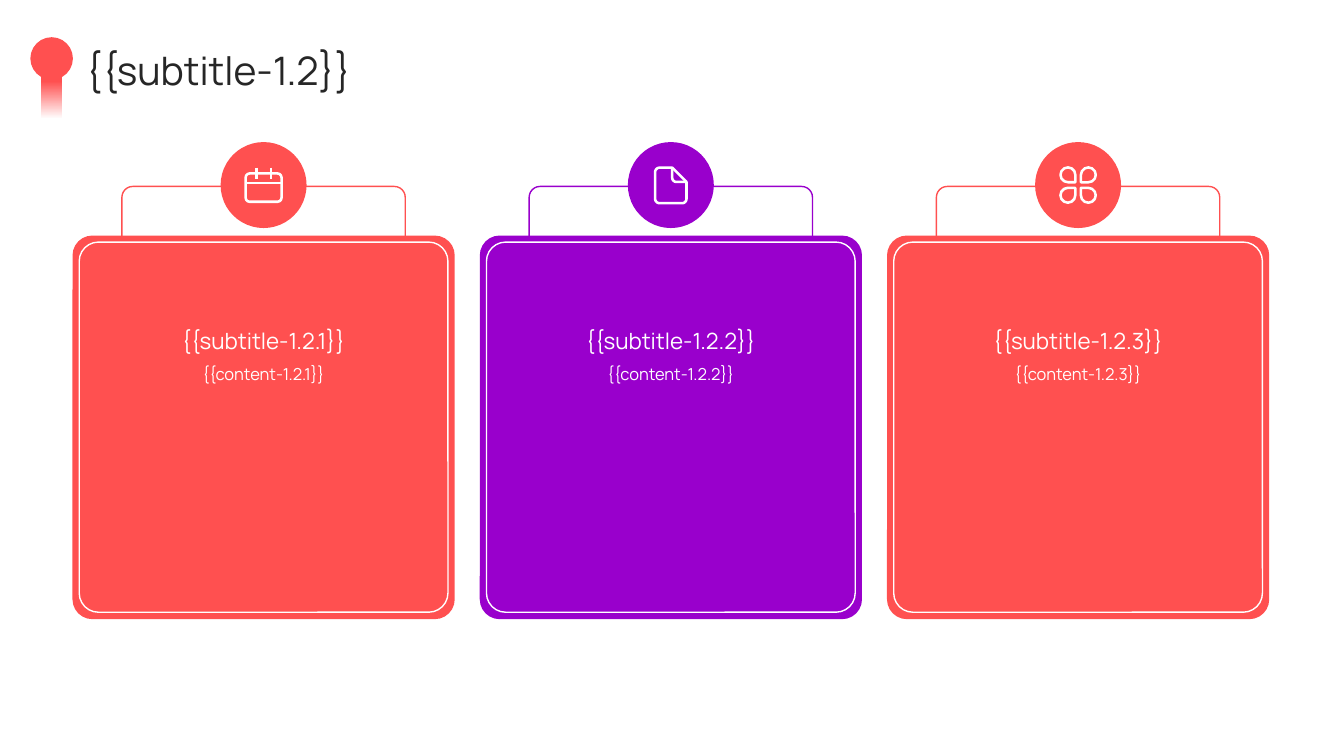
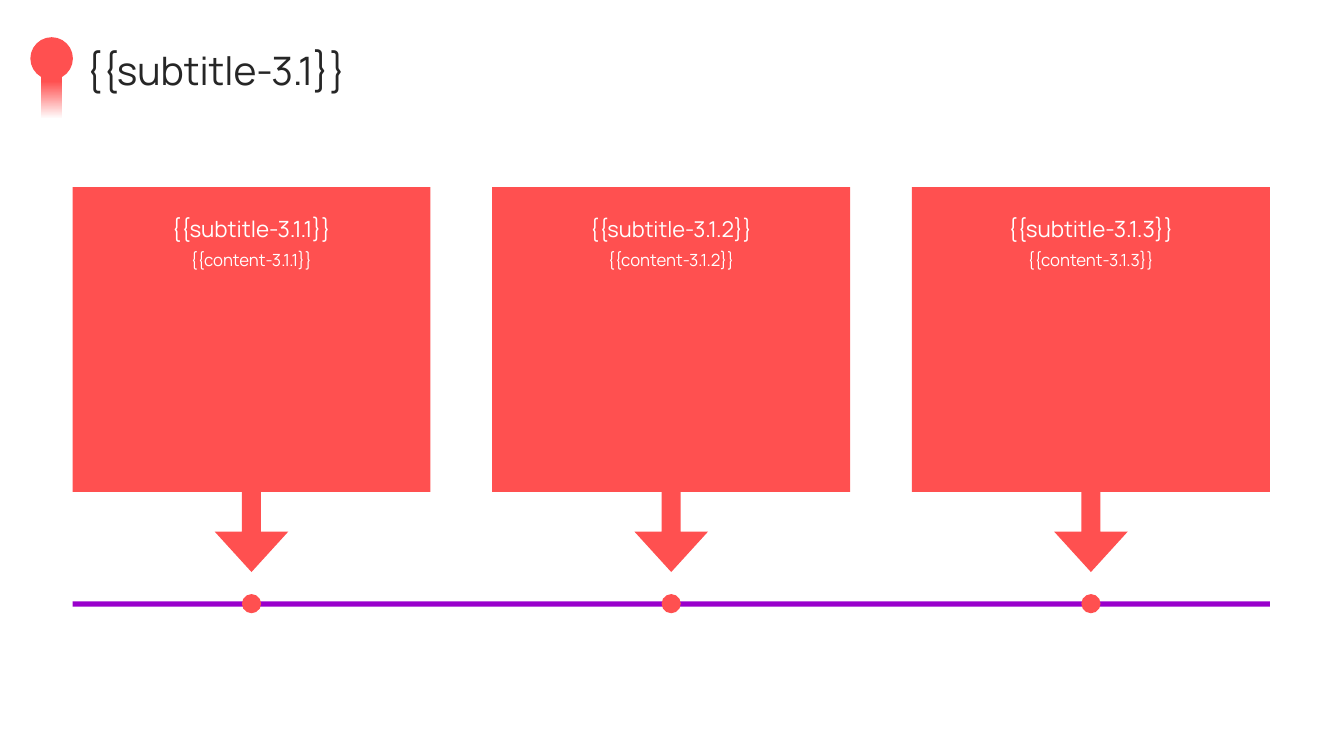
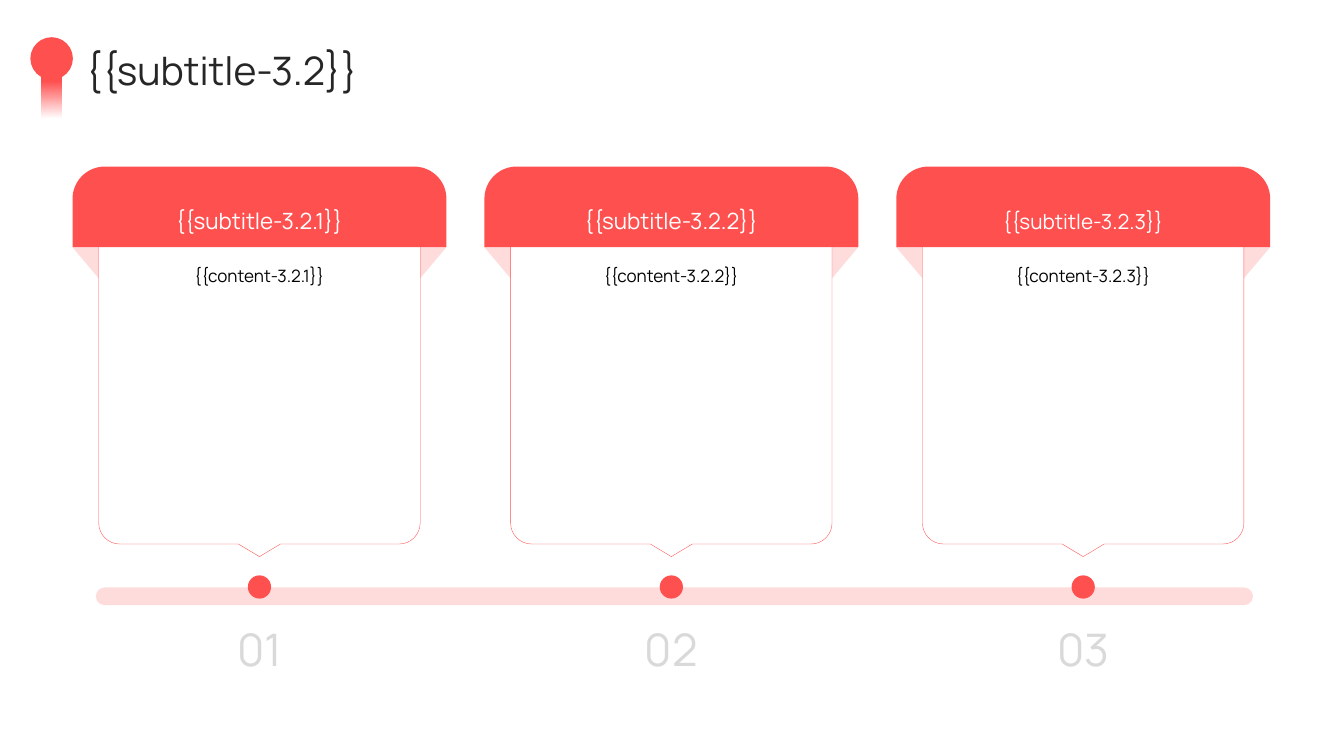
from lxml import etree
from pptx import Presentation
from pptx.dml.color import RGBColor
from pptx.enum import shapes as kinds, text as tx
from pptx.oxml.ns import qn
from pptx.util import Pt

HUE = {"red": "FF5050", "violet": "9900CC", "pink": "FFDCDC", "white": "FFFFFF",
       "ink": "262626", "black": "000000", "grey": "D9D9D9"}
FACE = "Manrope"
KIND = kinds.MSO_SHAPE
TOP, MID, LOW = tx.MSO_ANCHOR.TOP, tx.MSO_ANCHOR.MIDDLE, tx.MSO_ANCHOR.BOTTOM
LEFT, CENTER = tx.PP_ALIGN.LEFT, tx.PP_ALIGN.CENTER
EDGE = 51.8      # left edge of the first column on every slide
PEN = 1.8        # stroke of the icons


def rgb(name):
    return RGBColor.from_string(HUE[name])


def paint(shape, fill=None, line=None, width=1):
    shape.shadow.inherit = False
    if fill:
        shape.fill.solid()
        shape.fill.fore_color.rgb = rgb(fill)
    else:
        shape.fill.background()
    if line:
        shape.line.color.rgb = rgb(line)
        shape.line.width = Pt(width)
    else:
        shape.line.fill.background()
    return shape


def add(slide, kind, x, y, w, h, fill=None, line=None, width=1, adj=()):
    shape = slide.shapes.add_shape(kind, Pt(x), Pt(y), Pt(w), Pt(h))
    for i, value in enumerate(adj):
        shape.adjustments[i] = value
    return paint(shape, fill, line, width)


def dot(slide, cx, cy, size, fill):
    return add(slide, KIND.OVAL, cx - size / 2, cy - size / 2, size, size, fill)


def stroke(slide, x1, y1, x2, y2):
    line = slide.shapes.add_connector(kinds.MSO_CONNECTOR.STRAIGHT,
                                      Pt(x1), Pt(y1), Pt(x2), Pt(y2))
    line.line.color.rgb = rgb("white")
    line.line.width = Pt(PEN)
    etree.SubElement(line.element.spPr, qn("a:effectLst"))


def bend(prev, corner, after, radius, steps=8):
    """Points of a rounded corner, drawn as a sampled Bezier curve."""
    def toward(end, dist):
        dx, dy = end[0] - corner[0], end[1] - corner[1]
        size = (dx * dx + dy * dy) ** 0.5
        return corner[0] + dx / size * dist, corner[1] + dy / size * dist

    a, d = toward(prev, radius), toward(after, radius)
    b, c = toward(prev, radius * 0.45), toward(after, radius * 0.45)
    for i in range(steps + 1):
        t = i / steps
        s = 1 - t
        yield tuple(s**3 * a[k] + 3 * s * s * t * b[k] + 3 * s * t * t * c[k] + t**3 * d[k]
                    for k in (0, 1))


def outline(slide, nodes, close=True, **style):
    """Freeform through (x, y, corner radius) nodes."""
    pts = []
    for i, (x, y, r) in enumerate(nodes):
        if r:
            pts += bend(nodes[i - 1], (x, y), nodes[(i + 1) % len(nodes)], r)
        else:
            pts.append((x, y))
    pts = [(Pt(x), Pt(y)) for x, y in pts]
    form = slide.shapes.build_freeform(*pts[0])
    form.add_line_segments(pts[1:], close=close)
    return paint(form.convert_to_shape(), **style)


def write(shape, words, size, color, anchor=TOP, align=CENTER):
    frame = shape.text_frame
    frame.word_wrap = True
    frame.auto_size = tx.MSO_AUTO_SIZE.NONE
    frame.vertical_anchor = anchor
    frame.margin_left = frame.margin_right = frame.margin_top = frame.margin_bottom = 0
    frame.text = words
    para = frame.paragraphs[0]
    para.alignment = align
    para.font.name, para.font.size, para.font.bold = FACE, Pt(size), False
    para.font.color.rgb = rgb(color)


def label(slide, words, cx, y, w, h, size, color="white", anchor=TOP):
    box = slide.shapes.add_textbox(Pt(cx - w / 2), Pt(y), Pt(w), Pt(h))
    write(box, words, size, color, anchor)


def start(deck, words):
    """New slide with its title and the pin beside it."""
    slide = deck.slides.add_slide(deck.slide_layouts[5])
    title = slide.shapes.title
    title.left, title.top, title.width, title.height = Pt(61.2), Pt(31.7), Pt(840.2), Pt(36.7)
    write(title, words, 28, "ink", MID, LEFT)
    stem = add(slide, KIND.RECTANGLE, 29.4, 40.3, 15.1, 44.6)
    stem.fill.gradient()
    stem.fill.gradient_angle = 270
    for stop, (at, name) in zip(stem.fill.gradient_stops, ((0.4, "red"), (1, "white"))):
        stop.position = at
        stop.color.rgb = rgb(name)
    dot(slide, 36.9, 41.8, 30.4, "red")
    return slide


def calendar(slide, cx, cy):
    add(slide, KIND.ROUNDED_RECTANGLE, cx - 12.8, cy - 8.3, 25.6, 20.2,
        line="white", width=PEN, adj=[0.14])
    stroke(slide, cx - 12.8, cy - 1.5, cx + 12.8, cy - 1.5)
    for x in (cx - 5.2, cx + 5.2):
        stroke(slide, x, cy - 12.4, x, cy - 4)


def sheet(slide, cx, cy):
    left, right, top, foot = cx - 11.2, cx + 11.2, cy - 12.4, cy + 13
    fold_x, fold_y = cx + 1, cy - 2.2
    pen = {"line": "white", "width": PEN}
    outline(slide, [(fold_x, top, 0), (right, fold_y, 0), (right, foot, 3.2),
                    (left, foot, 3.2), (left, top, 3.2)], **pen)
    outline(slide, [(fold_x, top, 0), (fold_x, fold_y, 3), (right, fold_y, 0)],
            close=False, **pen)


def clover(slide, cx, cy):
    size, gap = 10.6, 7.3
    for dx, dy, turn in ((-1, -1, 90), (1, -1, 180), (-1, 1, 0), (1, 1, 270)):
        leaf = add(slide, KIND.TEAR, cx + dx * gap - size / 2, cy + dy * gap - size / 2,
                   size, size, line="white", width=PEN)
        leaf.rotation = turn


def cards(deck):
    slide = start(deck, "{{subtitle-1.2}}")
    step, wide, round_adj = 290.9, 273, [0.052]
    icons = ((calendar, "red"), (sheet, "violet"), (clover, "red"))
    for i, (icon, hue) in enumerate(icons):
        x = EDGE + i * step
        cx = x + wide / 2
        block = KIND.ROUNDED_RECTANGLE
        add(slide, block, cx - 101.2, 133.2, 202.4, 149, line=hue, adj=round_adj)
        dot(slide, cx, 132.2, 61.4, hue)
        icon(slide, cx, 132.2)
        add(slide, block, x, 168.3, wide, 274, hue, adj=round_adj)
        add(slide, block, cx - 131.7, 172.9, 263.4, 264.4, hue, "white", adj=round_adj)
        label(slide, f"{{{{content-1.2.{i + 1}}}}}", cx, 259.9, 226.8, 124.6, 11.8)
        label(slide, f"{{{{subtitle-1.2.{i + 1}}}}}", cx, 188.6, 226.8, 64.1, 16, anchor=LOW)


def callouts(deck):
    slide = start(deck, "{{subtitle-3.1}}")
    step, wide = 299.8, 255.7
    add(slide, KIND.RECTANGLE, EDGE, 429.5, 2 * step + wide, 3.8, "violet")
    for i, size in enumerate((16, 15.6, 16)):
        x = EDGE + i * step
        cx = x + wide / 2
        dot(slide, cx, 431.2, 13.7, "red")
        add(slide, KIND.DOWN_ARROW_CALLOUT, x, 133.6, wide, 275, "red",
            adj=[0.053, 0.103, 0.113, 0.792])
        label(slide, f"{{{{content-3.1.{i + 1}}}}}", cx, 178.6, 236.2, 158.4, 12)
        label(slide, f"{{{{subtitle-3.1.{i + 1}}}}}", cx, 138.2, 236.2, 34.6, size, anchor=LOW)


def wedge(slide, x, y, mirror):
    shape = add(slide, KIND.RIGHT_TRIANGLE, x, y, 19.4, 23, "pink")
    frame = shape.element.spPr.xfrm
    frame.set("flipV", "1")
    if mirror:
        frame.set("flipH", "1")


def banners(deck):
    slide = start(deck, "{{subtitle-3.2}}")
    step, wide, top, high = 294.2, 267.1, 119, 57.6
    half, foot, tip, curve = 114.8, 388.6, 397.6, 15
    add(slide, KIND.ROUNDED_RECTANGLE, 68.4, 419.6, 826.6, 12.7, "pink", adj=[0.5])
    for i, size in enumerate((16, 16, 14.8)):
        x = EDGE + i * step
        cx = x + wide / 2
        dot(slide, cx, 419.3, 16.6, "red")
        label(slide, f"{i + 1:02}", cx, 444.2, 77.8, 31.7, 32, "grey")
        wedge(slide, x, top + high, True)
        wedge(slide, x + wide - 19.4, top + high, False)
        outline(slide, [(cx - half, 140.4, curve), (cx + half, 140.4, curve),
                        (cx + half, foot, curve), (cx + curve, foot, 0), (cx, tip, 0),
                        (cx - curve, foot, 0), (cx - half, foot, curve)],
                fill="white", line="red", width=0.25)
        add(slide, KIND.ROUND_2_SAME_RECTANGLE, x, top, wide, high, "red", adj=[0.4, 0])
        label(slide, f"{{{{subtitle-3.2.{i + 1}}}}}", cx, 128.9, 188, 38.2, size, anchor=LOW)
        label(slide, f"{{{{content-3.2.{i + 1}}}}}", cx, 189.4, 188, 162, 12.2, "black")


def main():
    deck = Presentation()
    deck.slide_width, deck.slide_height = Pt(960), Pt(540)
    cards(deck)
    callouts(deck)
    banners(deck)
    deck.save("out.pptx")


if __name__ == "__main__":
    main()
